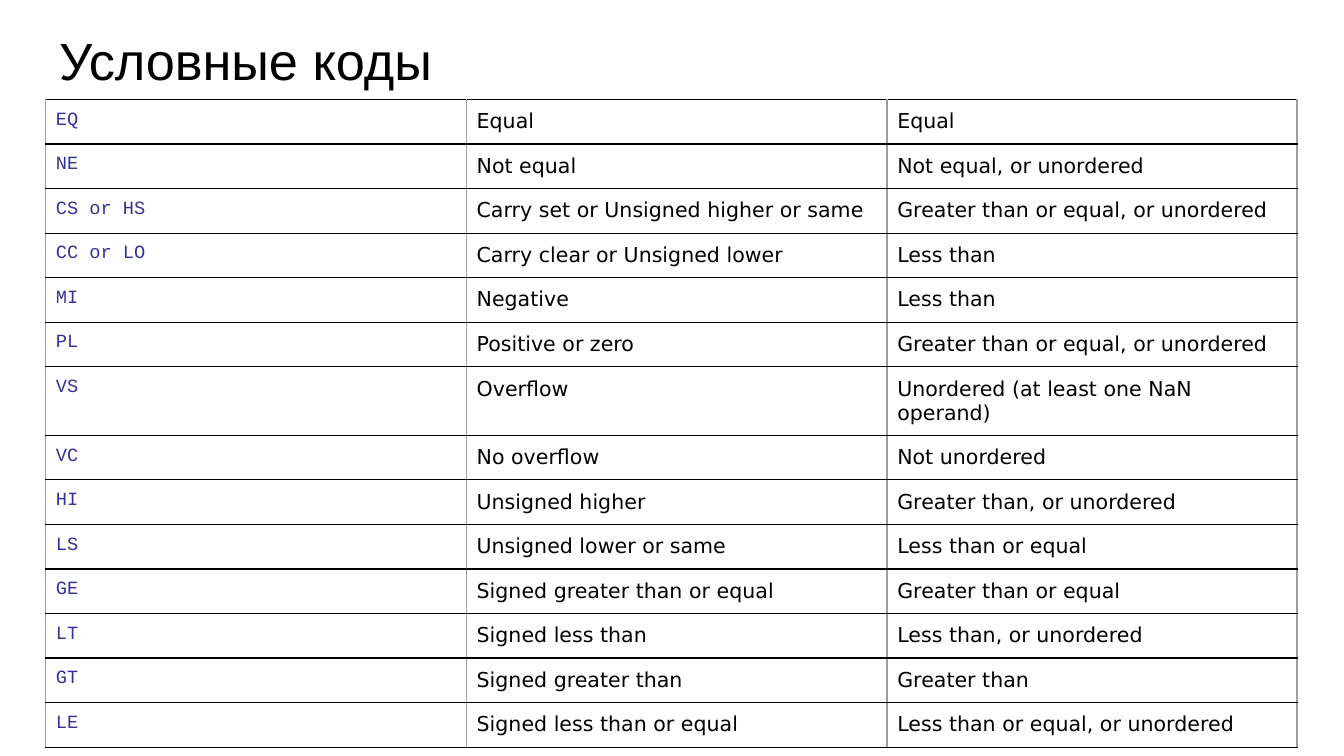
from lxml import etree
from pptx import Presentation
from pptx.dml.color import RGBColor
from pptx.enum.text import MSO_ANCHOR, PP_ALIGN
from pptx.oxml.ns import qn
from pptx.util import Inches, Pt

TOP = MSO_ANCHOR.TOP
LEFT = PP_ALIGN.LEFT
TITLE_ONLY = 5

COLORS = {"text": "000000", "code": "333399", "row_line": "000000", "column_line": "9E9E9E"}
BORDERS = {"lnL": "column_line", "lnR": "column_line", "lnT": "row_line", "lnB": "row_line"}

COLUMN_WIDTHS = [3.13, 3.13, 3.05]
ROW_HEIGHT = 0.27
TALL_ROW_HEIGHT = 0.42
TALL_CODE = "VS"

CONDITIONS = [
    ("EQ", "Equal", "Equal"),
    ("NE", "Not equal", "Not equal, or unordered"),
    ("CS or HS", "Carry set or Unsigned higher or same", "Greater than or equal, or unordered"),
    ("CC or LO", "Carry clear or Unsigned lower", "Less than"),
    ("MI", "Negative", "Less than"),
    ("PL", "Positive or zero", "Greater than or equal, or unordered"),
    ("VS", "Overflow", "Unordered (at least one NaN operand)"),
    ("VC", "No overflow", "Not unordered"),
    ("HI", "Unsigned higher", "Greater than, or unordered"),
    ("LS", "Unsigned lower or same", "Less than or equal"),
    ("GE", "Signed greater than or equal", "Greater than or equal"),
    ("LT", "Signed less than", "Less than, or unordered"),
    ("GT", "Signed greater than", "Greater than"),
    ("LE", "Signed less than or equal", "Less than or equal, or unordered"),
]


def write_text(frame, text, font="DejaVu Sans", size=11, color="text"):
    para = frame.paragraphs[0]
    para.alignment = LEFT
    para.line_spacing = 1.0
    para.space_before = Pt(0)
    span = para.add_run()
    span.text = text
    span.font.name = font
    span.font.size = Pt(size)
    span.font.bold = False
    span.font.color.rgb = RGBColor.from_string(COLORS[color])


def set_margins(holder, margin):
    holder.margin_left = holder.margin_right = margin
    holder.margin_top = holder.margin_bottom = margin


class SlideBuilder:
    def __init__(self, deck):
        self.page = deck.slides.add_slide(deck.slide_layouts[TITLE_ONLY])
        self.title_margin = Inches(0.1)
        self.cell_margin = Pt(5.5)
        self.border_width = Pt(0.75)

    def title(self, text, left, top, width, height):
        box = self.page.shapes.title
        box.left, box.top = Inches(left), Inches(top)
        box.width, box.height = Inches(width), Inches(height)
        frame = box.text_frame
        frame.word_wrap = True
        frame.vertical_anchor = TOP
        set_margins(frame, self.title_margin)
        write_text(frame, text, font="Arial", size=28)

    def borders(self, cell):
        properties = cell._tc.get_or_add_tcPr()
        for side, color in BORDERS.items():
            line = etree.SubElement(properties, qn(f"a:{side}"), w=str(self.border_width))
            fill = etree.SubElement(line, qn("a:solidFill"))
            etree.SubElement(fill, qn("a:srgbClr"), val=COLORS[color])

    def cell(self, cell, text, **text_format):
        set_margins(cell, self.cell_margin)
        cell.vertical_anchor = TOP
        self.borders(cell)
        cell.fill.background()
        write_text(cell.text_frame, text, **text_format)

    def table(self, rows, left, top):
        heights = [TALL_ROW_HEIGHT if row[0] == TALL_CODE else ROW_HEIGHT for row in rows]
        table = self.page.shapes.add_table(
            len(rows), len(COLUMN_WIDTHS), Inches(left), Inches(top),
            Inches(sum(COLUMN_WIDTHS)), Inches(sum(heights)),
        ).table
        table.first_row = False
        table.horz_banding = False
        for column, width in zip(table.columns, COLUMN_WIDTHS):
            column.width = Inches(width)
        for row, height, (code, *meanings) in zip(table.rows, heights, rows):
            row.height = Inches(height)
            code_cell, *meaning_cells = row.cells
            self.cell(code_cell, code, font="Courier New", size=10, color="code")
            for meaning_cell, meaning in zip(meaning_cells, meanings):
                self.cell(meaning_cell, meaning)


def main():
    deck = Presentation()
    deck.slide_width = Inches(10)
    deck.slide_height = deck.slide_width * 9 // 16
    builder = SlideBuilder(deck)
    builder.title("Условные коды", 0.34, 0.11, 9.32, 0.63)
    builder.table(CONDITIONS, 0.34, 0.74)
    deck.save("out.pptx")


if __name__ == "__main__":
    main()
